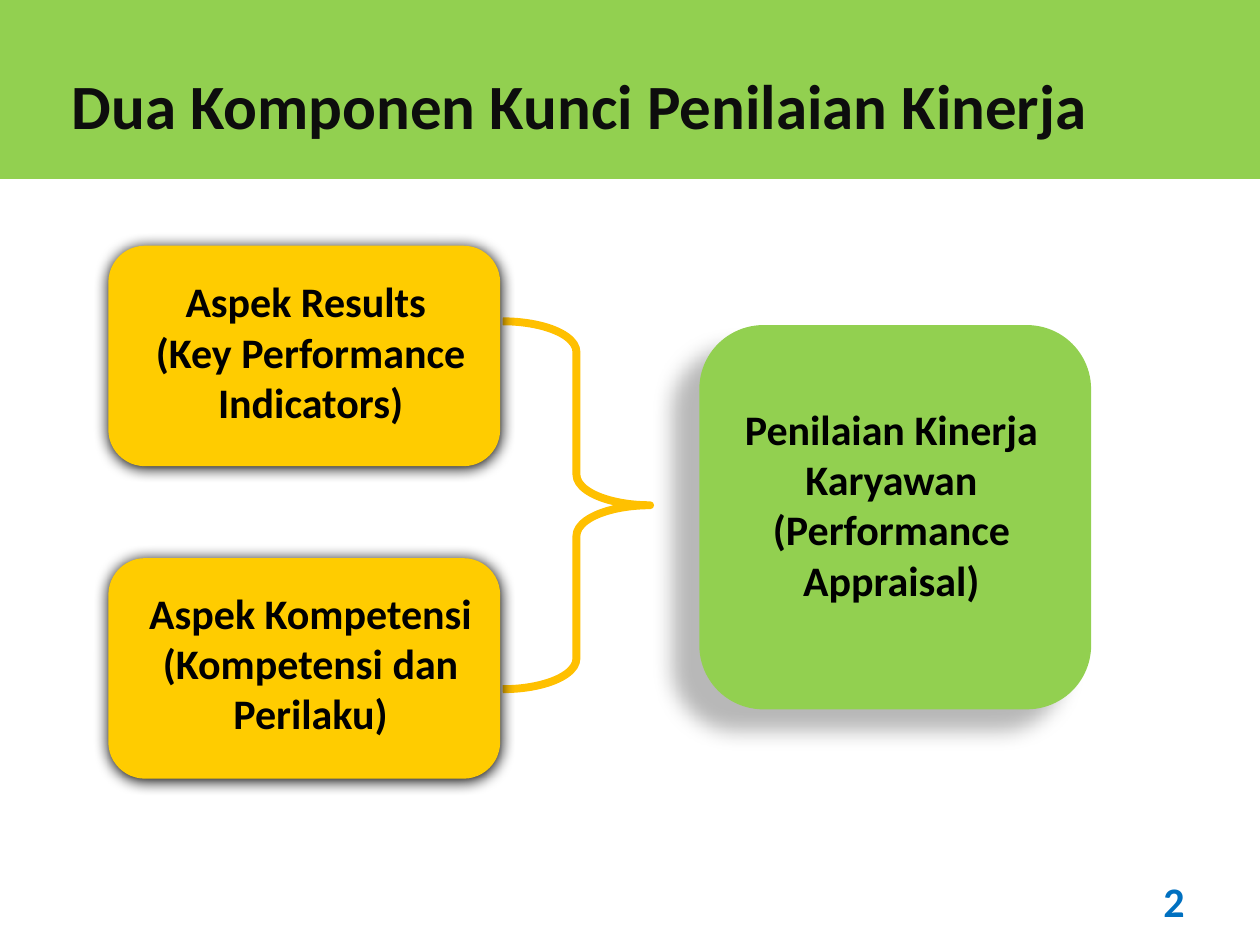
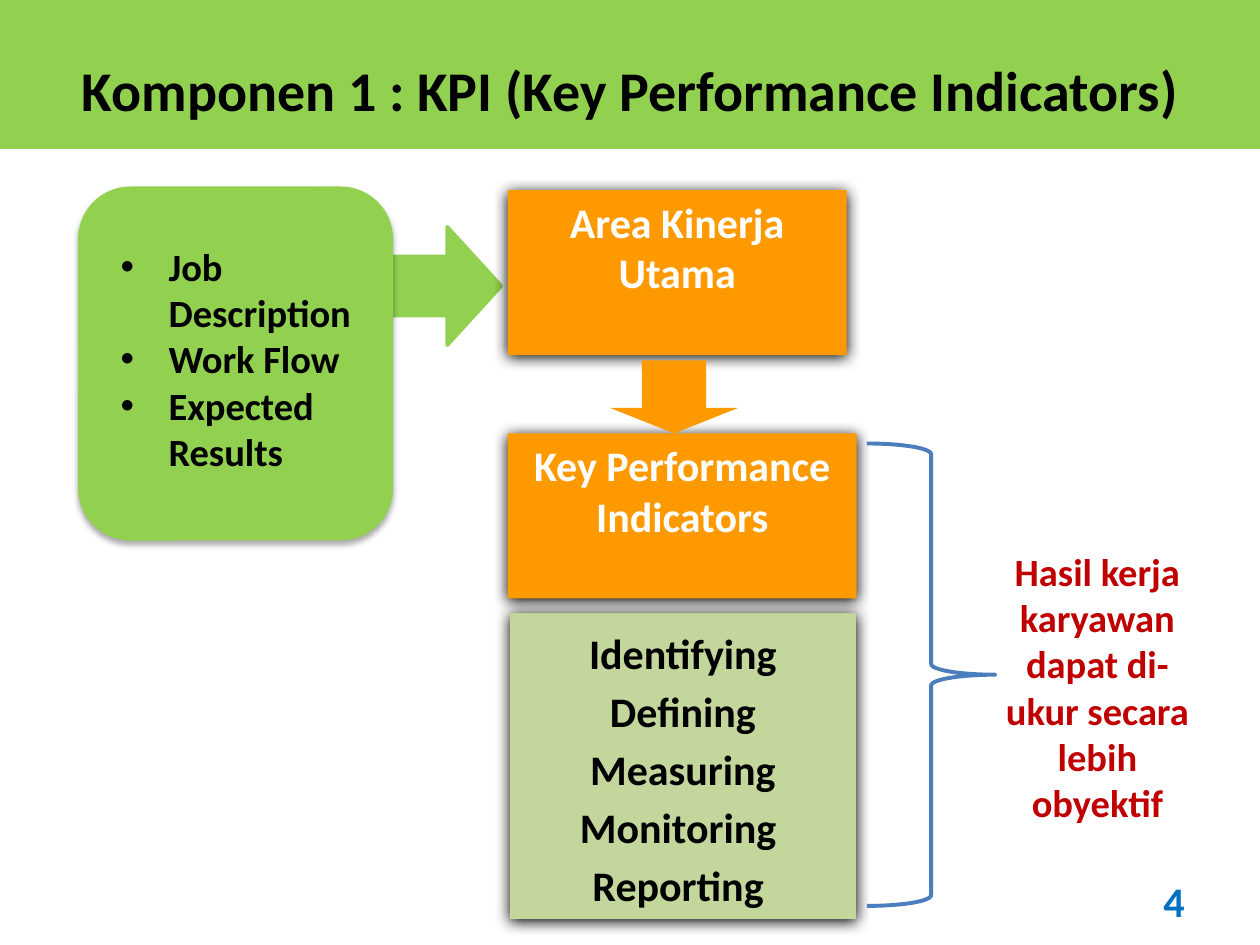
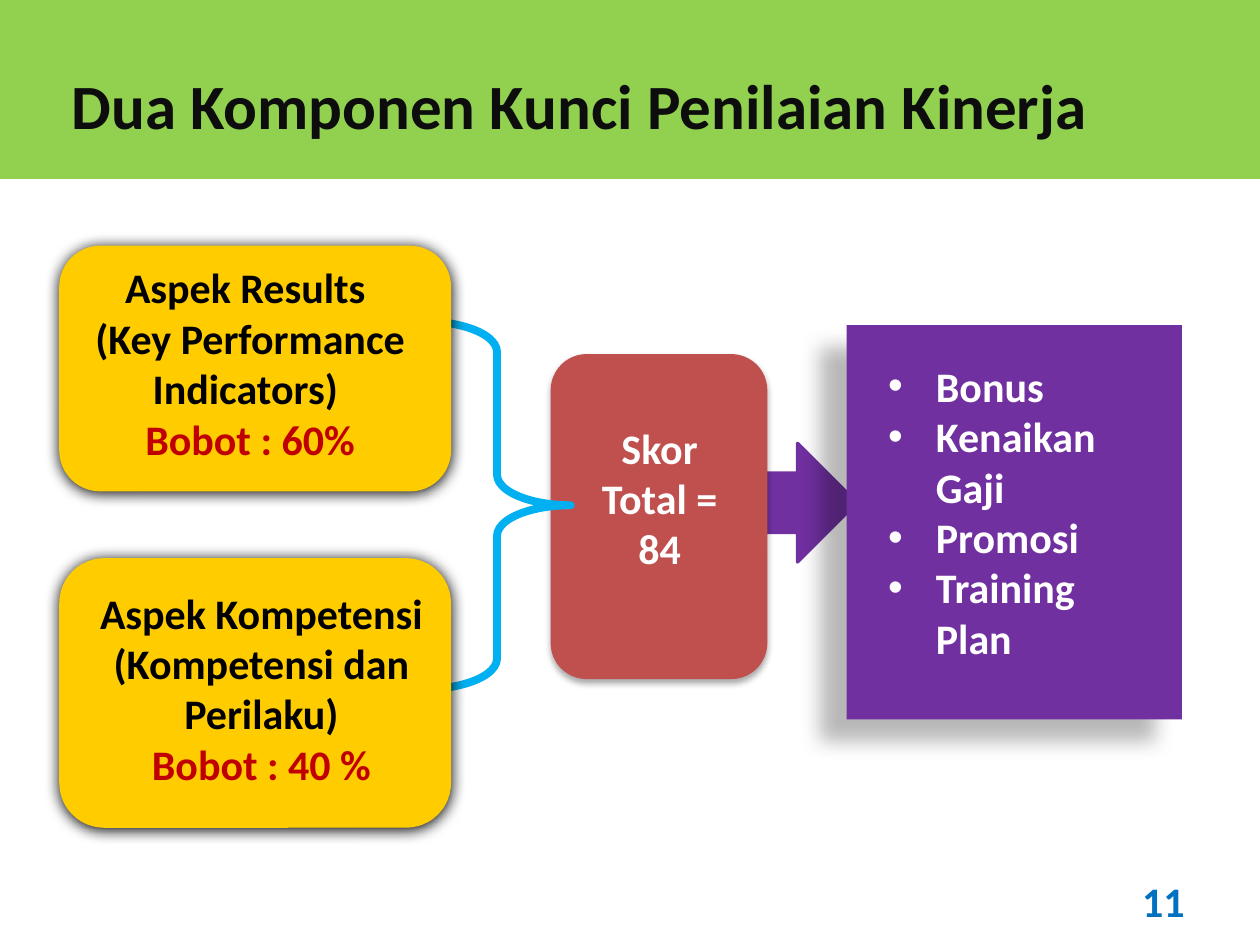
import pptx
import pptx.dml.color
import pptx.enum.shapes
import pptx.enum.text
import pptx.oxml
import pptx.oxml.ns
import pptx.util

Inches = pptx.util.Inches
Pt = pptx.util.Pt
RGB = pptx.dml.color.RGBColor.from_string
KIND = pptx.enum.shapes.MSO_SHAPE
ALIGN = pptx.enum.text.PP_ALIGN
ANCHOR = pptx.enum.text.MSO_ANCHOR

HUE = {
    "green": "92D050", "gold": "FFCC00", "amber": "FFC000", "orange": "FF9900",
    "sage": "C3D69B", "purple": "7030A0", "brick": "C0504D", "sky": "00B0F0",
    "steel": "4B7EBC", "blue": "0070C0", "red": "C00000", "black": "000000",
    "ink": "0D0D0D", "white": "FFFFFF",
}
# Shadows: opacity %, blur pt, distance pt, angle
GLOW = (100, 8.5, 1, 90)
SOFT = (32, 3.5, 2.2, 90)
DEEP = (28, 11.8, 19.7, 141)


def draw(slide, kind, at, fill=None, line=None, width=2, shade=None, adjust=()):
    shape = slide.shapes.add_shape(kind, *map(Inches, at))
    shape.shadow.inherit = False
    for i, value in enumerate(adjust):
        shape.adjustments[i] = value
    if fill:
        shape.fill.solid()
        shape.fill.fore_color.rgb = RGB(HUE[fill])
    else:
        shape.fill.background()
    if line:
        shape.line.color.rgb = RGB(HUE[line])
        shape.line.width = Pt(width)
    else:
        shape.line.fill.background()
    if shade:
        alpha, blur, dist, angle = shade
        effects = shape._element.spPr.find(pptx.oxml.ns.qn("a:effectLst"))
        effects.append(pptx.oxml.parse_xml(
            f'<a:outerShdw {pptx.oxml.ns.nsdecls("a")} blurRad="{Pt(blur)}" '
            f'dist="{Pt(dist)}" dir="{angle * 60000}" algn="ctr" rotWithShape="0">'
            f'<a:srgbClr val="{HUE["black"]}"><a:alpha val="{alpha * 1000}"/></a:srgbClr>'
            '</a:outerShdw>'))
    return shape


def write(box, lines, size=24, color="black", align=ALIGN.CENTER, gap=None,
          bullet=False, wrap=True, anchor=ANCHOR.TOP):
    frame = box.text_frame
    frame.word_wrap = wrap
    frame.vertical_anchor = anchor
    for i, line in enumerate(lines):
        para = frame.add_paragraph() if i else frame.paragraphs[0]
        para.text = line
        para.alignment = align
        if gap:
            para.line_spacing = gap
        if bullet:
            props = para._p.get_or_add_pPr()
            props.set("marL", str(Inches(0.38)))
            props.set("indent", str(-Inches(0.38)))
            for tag in ('buFont typeface="Arial"', 'buChar char="•"'):
                props.append(pptx.oxml.parse_xml(
                    f'<a:{tag} {pptx.oxml.ns.nsdecls("a")}/>'))
        para.font.name = "Calibri"
        para.font.size = Pt(size)
        para.font.bold = True
        para.font.color.rgb = RGB(HUE[color])
    return frame


deck = pptx.Presentation()
deck.slide_width = Inches(10)
deck.slide_height = Inches(7.5)

# Shared frame: band, title and page number
MAIN = ("Dua Komponen Kunci Penilaian Kinerja", 36, "ink", (0.47, 0.39, 8.47, 0.76), 1.41)
KPI = ("Komponen 1 : KPI (Key Performance Indicators)", 32, "black",
       (0.55, 0.31, 8.98, 0.68), 1.17)
pages = []
for (title, size, color, at, depth), number in ((MAIN, "2"), (KPI, "4"), (MAIN, "11")):
    slide = deck.slides.add_slide(deck.slide_layouts[6])
    draw(slide, KIND.RECTANGLE, (0, 0, 10, depth), "green", "green")
    write(slide.shapes.add_textbox(*map(Inches, at)), [title], size, color,
          ALIGN.LEFT, gap=1.15, wrap=False)
    write(slide.shapes.add_textbox(*map(Inches, (7.17, 6.95, 2.33, 0.4))), [number],
          color="blue", align=ALIGN.RIGHT, anchor=ANCHOR.MIDDLE)
    pages.append(slide)
parts, flow, score = pages

# Result boxes and braces behind the aspect cards
draw(score, KIND.RIGHT_ARROW, (5.86, 3.52, 0.94, 0.94), "purple", "purple")
draw(score, KIND.RECTANGLE, (6.72, 2.58, 2.66, 3.13), "purple", shade=DEEP)
draw(score, KIND.ROUNDED_RECTANGLE, (4.37, 2.81, 1.72, 2.58), "brick", shade=SOFT)
for slide, left, color in ((parts, 3.99, "amber"), (score, 3.36, "sky")):
    draw(slide, KIND.RIGHT_BRACE, (left, 2.55, 1.17, 2.92), line=color, width=4.5,
         adjust=(0.208, 0.5))

# Aspect cards: slide, left, top, height, text left, text top, lines, weight
RESULT = ["Aspek Results ", "(Key Performance Indicators)"]
SKILL = ["Aspek Kompetensi", "(Kompetensi dan Perilaku)"]
cards = (
    (parts, 0.86, 1.95, 1.75, 0.79, 2.14, RESULT, None),
    (parts, 0.86, 4.43, 1.75, 0.79, 4.61, SKILL, None),
    (score, 0.47, 1.95, 1.95, 0.31, 2.03, [RESULT[0], RESULT[1] + " "], "Bobot : 60%"),
    (score, 0.47, 4.43, 2.14, 0.4, 4.61, SKILL, "Bobot : 40 %"),
)
for slide, left, top, height, inset, start, lines, weight in cards:
    draw(slide, KIND.ROUNDED_RECTANGLE, (left, top, 3.11, height), "gold", shade=GLOW)
    box = slide.shapes.add_textbox(*map(Inches, (inset, start, 3.35, height - 0.4)))
    frame = write(box, lines + [weight] if weight else lines)
    if weight:
        frame.paragraphs[-1].font.color.rgb = RGB(HUE["red"])

# Appraisal box
draw(parts, KIND.ROUNDED_RECTANGLE, (5.55, 2.58, 3.11, 3.05), "green", shade=DEEP)
write(parts.shapes.add_textbox(*map(Inches, (5.4, 3.15, 3.35, 1.72))),
      ["Penilaian Kinerja Karyawan (Performance Appraisal)"])

# KPI flow: inputs
draw(flow, KIND.RIGHT_ARROW, (3.12, 1.8, 0.86, 0.94), "green", "green")
draw(flow, KIND.ROUNDED_RECTANGLE, (0.62, 1.48, 2.5, 2.81), "green", shade=SOFT)
write(flow.shapes.add_textbox(*map(Inches, (0.86, 1.88, 2.03, 1.95))),
      ["Job Description", "Work Flow", "Expected Results"], 22,
      align=ALIGN.LEFT, bullet=True)

# KPI flow: steps
steps = draw(flow, KIND.RECTANGLE, (4.05, 4.87, 2.74, 2.42), "sage", "sage", 0.75, GLOW)
write(steps, ["Identifying", "Defining", "Measuring", "Monitoring ", "Reporting "], gap=1.15)
for top, width, label in ((3.44, 2.77, "Key Performance Indicators"),
                          (1.51, 2.69, "Area Kinerja Utama")):
    area = draw(flow, KIND.RECTANGLE, (4.03, top, width, 1.31), "orange", shade=GLOW)
    write(area, [label], color="white")
draw(flow, KIND.DOWN_ARROW, (4.84, 2.86, 1.02, 0.58), "orange", adjust=(0.35, 0.5)[::-1])

# KPI flow: outcome
draw(flow, KIND.RIGHT_BRACE, (6.88, 3.52, 1.02, 3.67), line="steel", width=2.25)
write(flow.shapes.add_textbox(*map(Inches, (7.81, 4.3, 1.8, 2.32))),
      ["Hasil kerja karyawan dapat di-ukur secara lebih obyektif"], 22, "red")

# Score and rewards
write(score.shapes.add_textbox(*map(Inches, (4.53, 3.3, 1.41, 1.31))),
      ["Skor Total = 84"], color="white")
write(score.shapes.add_textbox(*map(Inches, (6.95, 2.81, 2.34, 2.52))),
      ["Bonus", "Kenaikan Gaji", "Promosi", "Training Plan"], color="white",
      align=ALIGN.LEFT, bullet=True)

deck.save("out.pptx")
